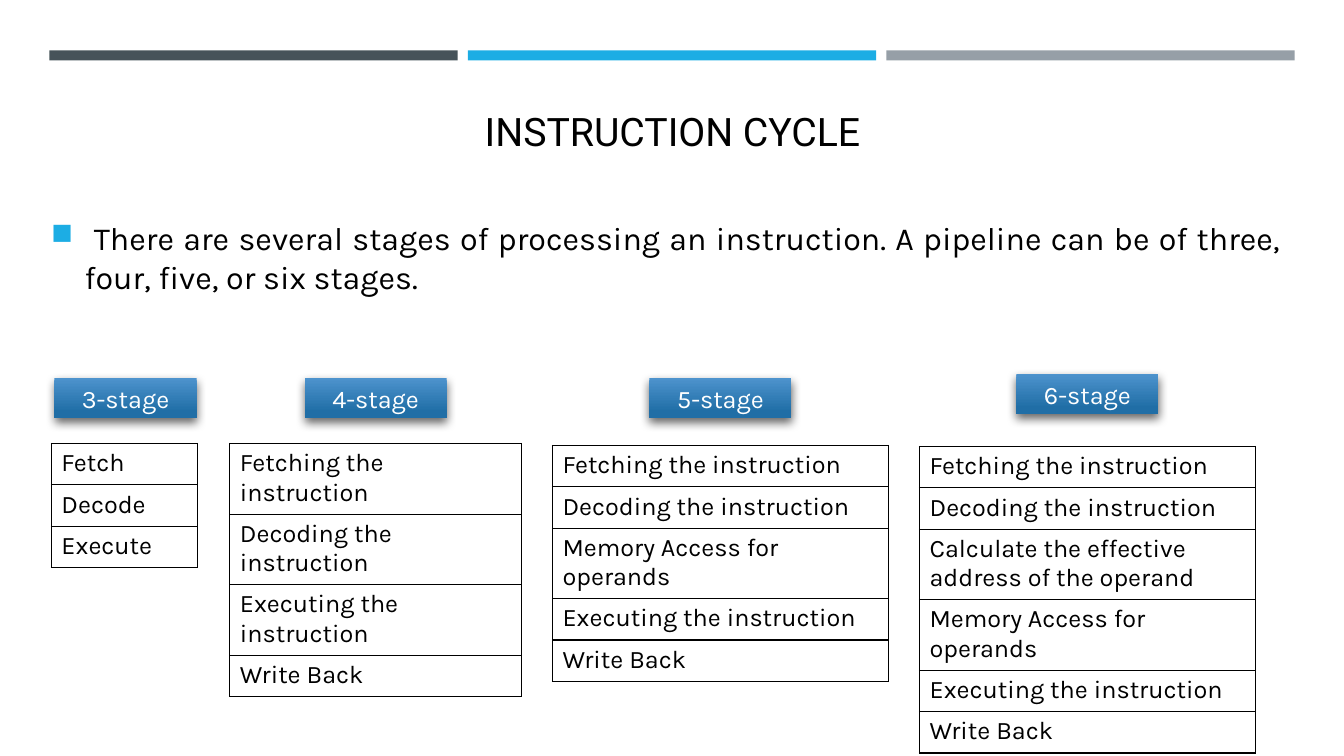
from lxml.etree import SubElement
from pptx import Presentation
from pptx.dml.color import RGBColor
from pptx.enum.shapes import MSO_SHAPE
from pptx.enum.text import MSO_ANCHOR, PP_ALIGN
from pptx.oxml.ns import qn
from pptx.util import Inches, Pt

COLORS = {
    "slate": "465359", "sky": "1CADE4", "gray": "969FA7",
    "label_top": "4D93CD", "label_bottom": "206EA6",
    "black": "000000", "white": "FFFFFF",
}
BARS = ["slate", "sky", "gray"]
FETCH, DECODE = "Fetching the instruction", "Decoding the instruction"
MEMORY, EXECUTE = "Memory Access for operands", "Executing the instruction"
ADDRESS = "Calculate the effective address of the operand"
WRITE = "Write Back"
PIPELINES = [
    ("3-stage", 0.54, 3.75, 0.51, 4.4, 1.45, ["Fetch", "Decode", "Execute"]),
    ("4-stage", 3.02, 3.75, 2.28, 4.4, 2.89, [FETCH, DECODE, EXECUTE, WRITE]),
    ("5-stage", 6.44, 3.75, 5.48, 4.42, 3.33,
     [FETCH, DECODE, MEMORY, EXECUTE, WRITE]),
    ("6-stage", 10.08, 3.71, 9.12, 4.43, 3.33,
     [FETCH, DECODE, ADDRESS, MEMORY, EXECUTE, WRITE]),
]
ROW_HEIGHT = 0.41


def rgb(name):
    """Return the named colour."""
    return RGBColor.from_string(COLORS[name])


def add_run(paragraph, text, size, font="Karla", color="black"):
    """Append a styled run to a paragraph."""
    run = paragraph.add_run()
    run.text = text
    run.font.size = Pt(size)
    run.font.name = font
    run.font.color.rgb = rgb(color)


def add_text_area(slide, left, top, width, height, anchor, align):
    """Add a wrapping text box and return its first paragraph."""
    frame = slide.shapes.add_textbox(
        Inches(left), Inches(top), Inches(width), Inches(height)).text_frame
    frame.word_wrap = True
    frame.vertical_anchor = anchor
    frame.paragraphs[0].alignment = align
    return frame.paragraphs[0]


def add_rectangle(slide, left, top, width, height):
    """Add a rectangle without outline or shadow."""
    rectangle = slide.shapes.add_shape(
        MSO_SHAPE.RECTANGLE,
        Inches(left), Inches(top), Inches(width), Inches(height))
    rectangle.shadow.inherit = False
    rectangle.line.fill.background()
    return rectangle


def add_bar(slide, index, color):
    """Add one of the coloured bars along the top."""
    bar = add_rectangle(slide, 0.49 + index * 4.15, 0.5, 4.05, 0.1)
    bar.fill.solid()
    bar.fill.fore_color.rgb = rgb(color)


def add_bullet(paragraph):
    """Give a paragraph a hanging square bullet."""
    properties = paragraph._p.get_or_add_pPr()
    properties.set("marL", str(Inches(0.33)))
    properties.set("indent", str(-Inches(0.33)))
    color = SubElement(properties, qn("a:buClr"))
    SubElement(color, qn("a:srgbClr"), val=COLORS["sky"])
    SubElement(properties, qn("a:buSzPct"), val="92000")
    SubElement(properties, qn("a:buChar"), char="■")


def add_shadow(shape):
    """Cast a soft shadow below a shape."""
    effects = shape._element.spPr.find(qn("a:effectLst"))
    shadow = SubElement(
        effects, qn("a:outerShdw"), blurRad=str(Pt(7)), dist=str(Pt(3)),
        dir=str(84 * 60000), rotWithShape="0")
    color = SubElement(shadow, qn("a:srgbClr"), val=COLORS["black"])
    SubElement(color, qn("a:alpha"), val="60000")


def add_stage_label(slide, text, left, top):
    """Add a gradient label naming a pipeline."""
    label = add_rectangle(slide, left, top, 1.41, 0.4)
    label.fill.gradient()
    label.fill.gradient_angle = 270
    stops = zip(label.fill.gradient_stops,
                [(0, "label_top"), (0.84, "label_bottom")])
    for stop, (position, color) in stops:
        stop.position = position
        stop.color.rgb = rgb(color)
    add_shadow(label)
    frame = label.text_frame
    frame.word_wrap = True
    frame.vertical_anchor = MSO_ANCHOR.MIDDLE
    frame.paragraphs[0].alignment = PP_ALIGN.CENTER
    add_run(frame.paragraphs[0], text, 18, color="white")


def add_borders(cell):
    """Draw a thin black line on each side of a cell."""
    properties = cell._tc.get_or_add_tcPr()
    for side in ("lnL", "lnR", "lnT", "lnB"):
        border = SubElement(properties, qn(f"a:{side}"), w=str(Pt(1)))
        fill = SubElement(border, qn("a:solidFill"))
        SubElement(fill, qn("a:srgbClr"), val=COLORS["black"])


def add_stage_table(slide, left, top, width, stages):
    """List the stages of a pipeline in a one-column table."""
    table = slide.shapes.add_table(
        len(stages), 1, Inches(left), Inches(top), Inches(width),
        Inches(ROW_HEIGHT * len(stages))).table
    table.first_row = False
    table.horz_banding = False
    for row, stage in enumerate(stages):
        cell = table.cell(row, 0)
        add_borders(cell)
        cell.fill.background()
        add_run(cell.text_frame.paragraphs[0], stage, 18)


def main():
    """Build and save the instruction cycle slide."""
    deck = Presentation()
    deck.slide_width = Inches(13.33)
    deck.slide_height = Inches(7.5)
    slide = deck.slides.add_slide(deck.slide_layouts[6])
    for index, color in enumerate(BARS):
        add_bar(slide, index, color)
    title = add_text_area(slide, 0.64, 0.77, 12.06, 0.81,
                          MSO_ANCHOR.BOTTOM, PP_ALIGN.CENTER)
    add_run(title, "INSTRUCTION CYCLE", 28, "Roboto")
    summary = add_text_area(slide, 0.41, 1.69, 12.41, 1.72,
                            MSO_ANCHOR.MIDDLE, PP_ALIGN.JUSTIFY)
    add_bullet(summary)
    add_run(summary, " There are several stages of processing an instruction. "
            "A pipeline can be of three, four, five, or six stages.", 23)
    for name, label_left, label_top, left, top, width, stages in PIPELINES:
        add_stage_table(slide, left, top, width, stages)
        add_stage_label(slide, name, label_left, label_top)
    deck.save("out.pptx")


if __name__ == "__main__":
    main()
